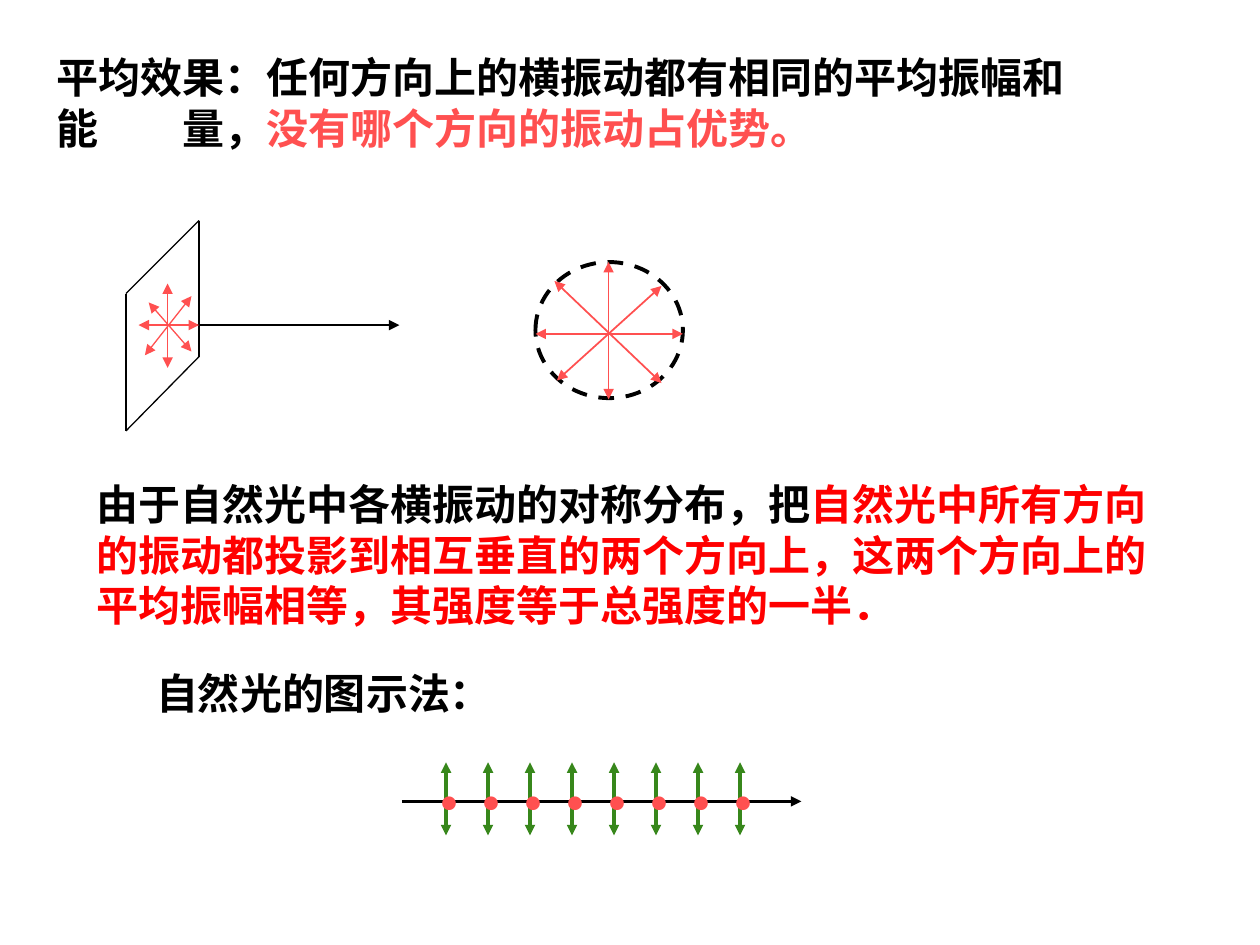
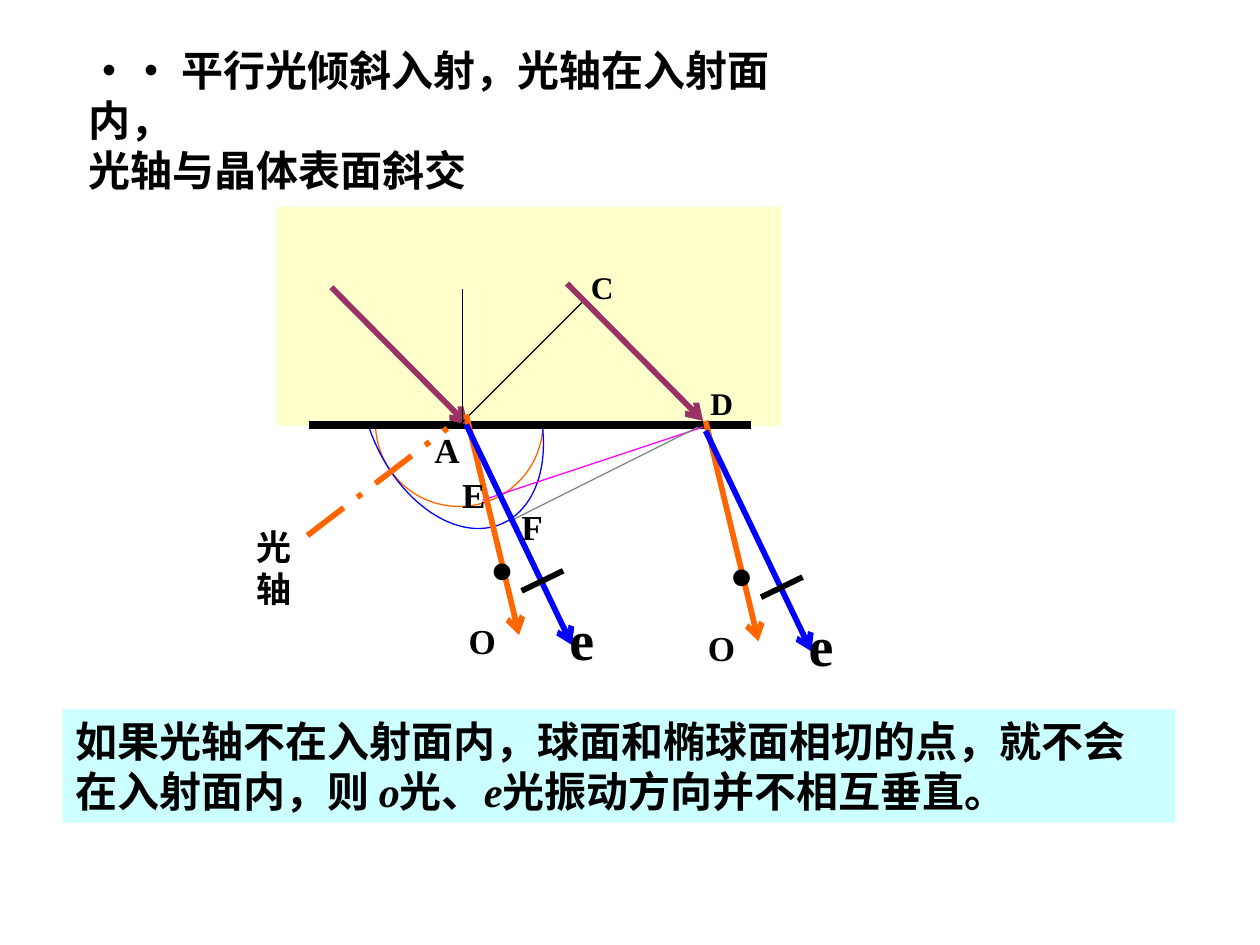
from itertools import pairwise
from lxml.etree import SubElement
from pptx import Presentation
from pptx.dml.color import RGBColor
from pptx.enum.dml import MSO_LINE
from pptx.enum.shapes import MSO_CONNECTOR, MSO_SHAPE
from pptx.enum.text import MSO_ANCHOR, MSO_AUTO_SIZE, PP_ALIGN
from pptx.oxml.ns import qn
from pptx.util import Inches, Pt

BLACK = RGBColor(0x00, 0x00, 0x00)
CORAL = RGBColor(0xFF, 0x50, 0x50)
RED = RGBColor(0xFF, 0x00, 0x00)
GREEN = RGBColor(0x37, 0x87, 0x1B)
ORANGE = RGBColor(0xFF, 0x66, 0x00)
BLUE = RGBColor(0x00, 0x00, 0xFF)
PLUM = RGBColor(0x99, 0x33, 0x66)
MAGENTA = RGBColor(0xFF, 0x00, 0xFF)
GRAY = RGBColor(0x80, 0x80, 0x80)
CREAM = RGBColor(0xFF, 0xFF, 0xCC)
CYAN = RGBColor(0xCC, 0xFF, 0xFF)
CJK, SERIF = "Noto Sans CJK SC", "Times New Roman"
THIN, THICK = 0.75, 3.25


class Deck:
    """Holds the shared style and draws on the current slide."""

    def __init__(self):
        self.prs = Presentation()
        self.prs.slide_width, self.prs.slide_height = Inches(10), Inches(7.5)

    def new_slide(self):
        self.s = self.prs.slides.add_slide(self.prs.slide_layouts[5])

    def fill_text(self, sp, paragraphs, size=24, font=CJK, bold=True, wrap=True):
        tf = sp.text_frame
        tf.word_wrap = wrap
        tf.auto_size = MSO_AUTO_SIZE.SHAPE_TO_FIT_TEXT
        tf.vertical_anchor = MSO_ANCHOR.TOP
        for i, parts in enumerate(paragraphs):
            p = tf.add_paragraph() if i else tf.paragraphs[0]
            p.alignment = PP_ALIGN.LEFT
            for text, color, italic in parts:
                r = p.add_run()
                r.text = text
                r.font.size, r.font.bold, r.font.italic = Pt(size), bold, italic
                r.font.color.rgb, r.font.name = color, font
                SubElement(r.font._element, qn("a:ea"), typeface=CJK)
        return tf

    def title(self, at, paragraphs, font=CJK):
        sp = self.s.shapes.title
        sp.left, sp.top, sp.width, sp.height = map(Inches, at)
        return self.fill_text(sp, paragraphs, font=font)

    def text(self, at, parts, **style):
        sp = self.s.shapes.add_textbox(*map(Inches, at))
        return self.fill_text(sp, [parts], **style)

    def label(self, at, text, size=20, bold=True, color=BLACK):
        self.text(at, [(text, color, False)], size=size, font=SERIF, bold=bold, wrap=False)

    def shape(self, kind, at, fill=None, line=None, width=THIN, dash=None, rotation=0):
        sp = self.s.shapes.add_shape(kind, *map(Inches, at))
        sp.shadow.inherit = False
        sp.rotation = rotation
        if fill is None:
            sp.fill.background()
        else:
            sp.fill.solid()
            sp.fill.fore_color.rgb = fill
        if line is None:
            sp.line.fill.background()
        else:
            self.stroke(sp.line, line, width, dash)
        return sp

    def stroke(self, line, color, width, dash=None):
        line.color.rgb, line.width = color, Pt(width)
        if dash:
            line.dash_style = dash

    def line(self, start, end, color=BLACK, width=THIN, head=None, tail=None, dash=None):
        points = map(Inches, (*start, *end))
        c = self.s.shapes.add_connector(MSO_CONNECTOR.STRAIGHT, *points)
        self.stroke(c.line, color, width, dash)
        ln = c.line._get_or_add_ln()
        for tag, kind in (("a:headEnd", head), ("a:tailEnd", tail)):
            if kind:
                SubElement(ln, qn(tag), type=kind)
        SubElement(c._element.spPr, qn("a:effectLst"))

    def double_arrow(self, start, end, color=CORAL, width=1):
        self.line(start, end, color, width, head="triangle", tail="triangle")


def natural_light(d):
    """Draw the slide on the symmetry of natural light."""
    d.new_slide()
    tf = d.title((0.35, 0.36, 8.58, 0.9), [[
        ("平均效果：任何方向上的横振动都有相同的平均振幅和能\t量，", BLACK, False),
        ("没有哪个方向的振动占优势。", CORAL, False)]])
    tf.margin_right = Inches(0.3)
    tabs = SubElement(tf.paragraphs[0]._p.get_or_add_pPr(), qn("a:tabLst"))
    SubElement(tabs, qn("a:tab"), pos=str(Inches(1)), algn="l")

    plane = [(1.58, 1.75), (1, 2.33), (1, 3.42), (1.58, 2.83), (1.58, 1.75)]
    for start, end in pairwise(plane):
        d.line(start, end)
    d.line((1.33, 2.58), (3.17, 2.58), tail="triangle")
    for start, end in [((1.33, 2.25), (1.33, 2.92)), ((1.52, 2.35), (1.15, 2.82)),
                       ((1.18, 2.4), (1.52, 2.79))]:
        d.double_arrow(start, end, width=THIN)
    d.double_arrow((1.1, 2.58), (1.58, 2.58))

    d.shape(MSO_SHAPE.OVAL, (4.25, 2.08, 1.17, 1.08), line=BLACK, width=2.25,
            dash=MSO_LINE.DASH)
    for start, end in [((4.83, 2.08), (4.83, 3.17)), ((4.25, 2.65), (5.42, 2.65)),
                       ((5.25, 2.27), (4.42, 3.02)), ((4.4, 2.23), (5.25, 3.04))]:
        d.double_arrow(start, end)

    offsets = [i / 3 for i in range(8)]
    for dx in offsets:
        d.double_arrow((3.54 + dx, 6.05), (3.54 + dx, 6.63), GREEN, 2)
    d.line((3.19, 6.36), (6.36, 6.36), width=2, tail="triangle")
    for dx in offsets:
        d.label((3.36 + dx, 5.88, 0.42, 0.9), "·", 48, color=CORAL)

    d.text((1.14, 5.25, 3, 0.5), [("自然光的图示法：", BLACK, False)])
    d.text((0.67, 3.75, 8.58, 1.3), [
        ("由于自然光中各横振动的对称分布，把", BLACK, False),
        ("自然光中所有方向的振动都投影到相互垂直的两个方向上，"
         "这两个方向上的平均振幅相等，其强度等于总强度的一半．", RED, False)])


def oblique_incidence(d):
    """Draw the slide on double refraction at oblique incidence."""
    d.new_slide()
    d.title((0.6, 0.3, 5.87, 1.3), [
        [("•• 平行光倾斜入射，光轴在入射面内，", BLACK, False)],
        [("光轴与晶体表面斜交", BLACK, False)]], font=SERIF)

    d.shape(MSO_SHAPE.OVAL, (2.98, 2.69, 1.33, 1.33), line=ORANGE)
    d.shape(MSO_SHAPE.OVAL, (2.92, 2.25, 1.33, 1.99), line=BLUE, rotation=336.3)
    d.shape(MSO_SHAPE.RECTANGLE, (2.2, 1.64, 4, 1.74), fill=CREAM)
    d.line((2.45, 3.37), (5.96, 3.37), width=4.5)
    d.line((2.63, 2.28), (3.71, 3.37), PLUM, THICK, tail="arrow")
    d.line((3.66, 3.36), (4.65, 2.37))
    d.line((2.44, 4.25), (3.55, 3.4), ORANGE, THICK, dash=MSO_LINE.LONG_DASH_DOT)
    d.line((3.67, 2.29), (3.67, 3.37))
    d.line((3.83, 3.97), (5.58, 3.39), MAGENTA)
    d.line((4.04, 4.14), (5.54, 3.39), GRAY)
    d.line((4.5, 2.25), (5.58, 3.34), PLUM, THICK, tail="arrow")

    for dx, dy in [(0, 0), (1.9, 0.05)]:
        d.line((3.7 + dx, 3.29 + dy), (4.12 + dx, 5.04 + dy), ORANGE, THICK, tail="arrow")
        d.line((3.7 + dx, 3.37 + dy), (4.54 + dx, 5.12 + dy), BLUE, THICK, tail="arrow")
        d.line((4.14 + dx, 4.69 + dy), (4.47 + dx, 4.53 + dy), width=THICK)
        d.label((4.42 + dx, 4.75 + dy, 0.4, 0.64), "e", 32)
        d.label((3.62 + dx, 4.87 + dy, 0.41, 0.44), "O")
        d.label((3.79 + dx, 4.12 + dy, 0.39, 0.77), "•", 40, bold=False)

    d.label((1.94, 4.12, 0.75, 0.44), "光轴")
    d.label((3.35, 3.35, 0.4, 0.44), "A")
    d.label((4.04, 3.96, 0.37, 0.44), "F")
    d.label((3.57, 3.71, 0.38, 0.44), "E")
    d.label((4.59, 2.08, 0.38, 0.4), "C", 18)
    d.label((5.54, 3, 0.38, 0.4), "D", 18)

    note = d.shape(MSO_SHAPE.RECTANGLE, (0.5, 5.63, 8.83, 0.9), fill=CYAN)
    d.fill_text(note, [[
        ("如果光轴不在入射面内，球面和椭球面相切的点，就不会在入射面内，则 ", BLACK, False),
        ("o", BLACK, True), ("光、", BLACK, False),
        ("e", BLACK, True), ("光振动方向并不相互垂直。", BLACK, False)]], font=SERIF)


def main():
    """Build both slides and save the deck."""
    d = Deck()
    natural_light(d)
    oblique_incidence(d)
    d.prs.save("out.pptx")


if __name__ == "__main__":
    main()
